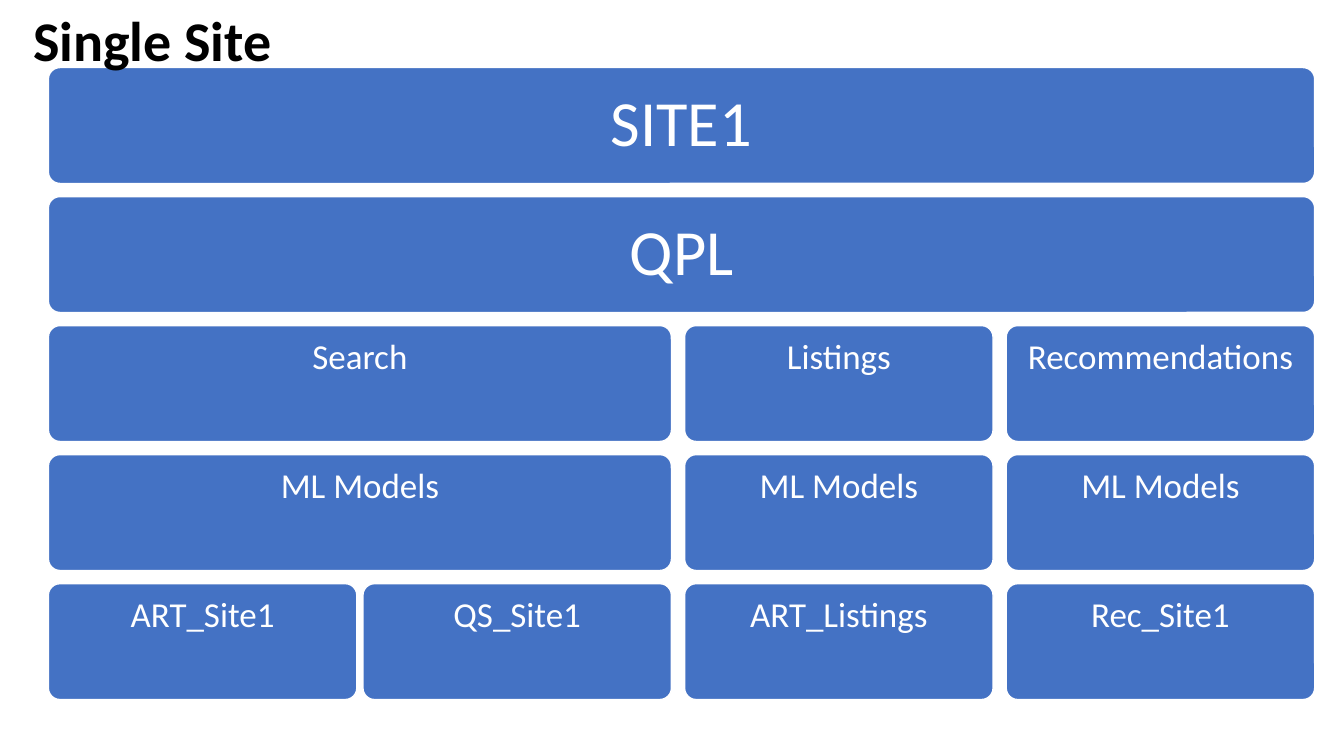
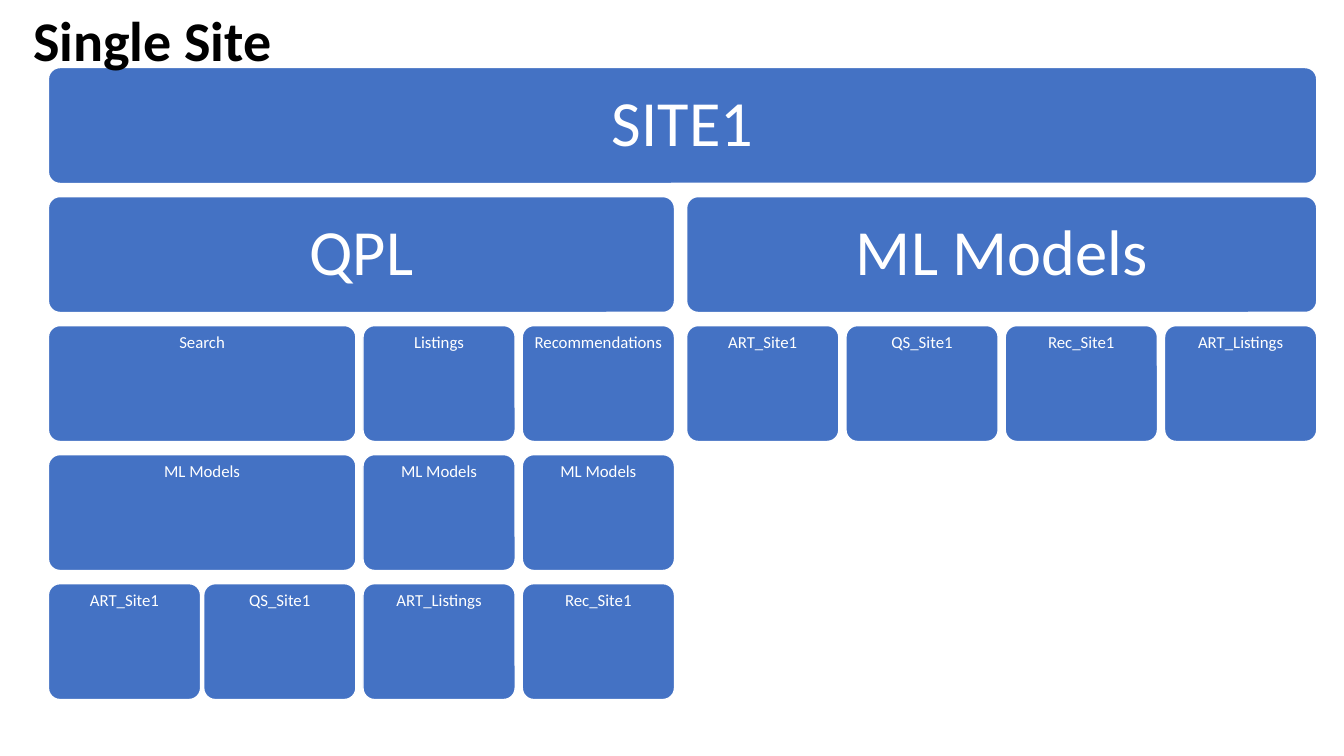
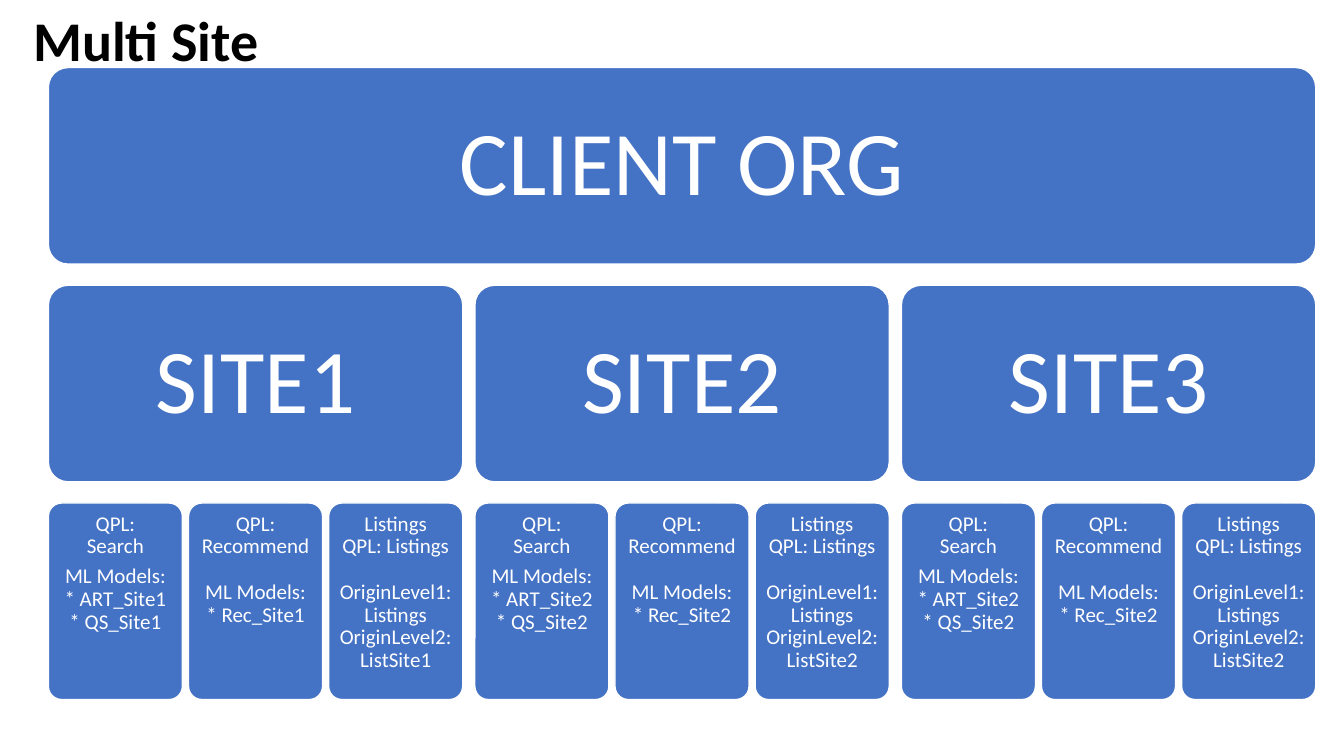
from dataclasses import dataclass

from pptx import Presentation
from pptx.dml.color import RGBColor
from pptx.enum.shapes import MSO_SHAPE
from pptx.enum.text import MSO_ANCHOR, PP_ALIGN
from pptx.util import Inches, Pt

ROUNDED = MSO_SHAPE.ROUNDED_RECTANGLE
TOP, MIDDLE = MSO_ANCHOR.TOP, MSO_ANCHOR.MIDDLE
LEFT, CENTER = PP_ALIGN.LEFT, PP_ALIGN.CENTER

BLUE, WHITE, BLACK = "4472C4", "FFFFFF", "000000"
FONT = "Calibri"
TITLE_ONLY = 5
TREE_LEFT, TREE_TOP = 0.48, 0.67
HEADING_LEVELS = 2


@dataclass
class Node:
    blocks: list
    children: list


@dataclass
class TreeStyle:
    leaf_width: float
    row_height: float
    row_gap: float
    level_gaps: list
    heading_size: int
    heading_inset: float
    detail_size: int
    detail_inset: float
    block_gap: float = 0


def color(value):
    return RGBColor.from_string(value)


def apply(target, values):
    for name, value in values.items():
        setattr(target, name, value)


def node(text, *children):
    return Node([text], list(children))


def format_frame(frame, inset, anchor, wrap=True):
    margins = {f"margin_{side}": Inches(inset) for side in ("left", "right", "top", "bottom")}
    apply(frame, {**margins, "vertical_anchor": anchor, "word_wrap": wrap})


def write_line(paragraph, text, size, font_color, alignment, line_spacing, before=0, bold=False):
    apply(paragraph, {"alignment": alignment, "line_spacing": line_spacing,
                      "space_before": Pt(before), "space_after": Pt(0)})
    run = paragraph.add_run()
    run.text = text
    apply(run.font, {"name": FONT, "size": Pt(size), "bold": bold})
    run.font.color.rgb = color(font_color)


def add_title(slide, text, width):
    title = slide.shapes.title
    apply(title, {"left": Inches(0.23), "top": Inches(0),
                  "width": Inches(width), "height": Inches(0.77)})
    format_frame(title.text_frame, 0.1, TOP, wrap=False)
    apply(title.text_frame, {"margin_top": Inches(0.05), "margin_bottom": Inches(0.05)})
    write_line(title.text_frame.paragraphs[0], text, 40, BLACK, LEFT, 1.0, bold=True)
    title.element.getparent().append(title.element)


def add_box(slide, blocks, left, top, width, level, style):
    box = slide.shapes.add_shape(ROUNDED, Inches(left), Inches(top),
                                 Inches(width), Inches(style.row_height))
    box.adjustments[0] = 0.1
    box.shadow.inherit = False
    box.fill.solid()
    box.fill.fore_color.rgb = color(BLUE)
    box.line.color.rgb = color(WHITE)
    box.line.width = Pt(1)
    if level < HEADING_LEVELS:
        size, inset, anchor = style.heading_size, style.heading_inset, MIDDLE
    else:
        size, inset, anchor = style.detail_size, style.detail_inset, TOP
    frame = box.text_frame
    format_frame(frame, inset, anchor)
    paragraph = frame.paragraphs[0]
    for block_index, block in enumerate(blocks):
        for line_index, line in enumerate(block.split("\n")):
            if block_index or line_index:
                paragraph = frame.add_paragraph()
            before = style.block_gap if block_index and not line_index else 0
            if before and block.startswith("ML") and len(block.split("\n")) == 3:
                before = style.detail_size * 0.35
            write_line(paragraph, line, size, WHITE, CENTER, 0.9, before)


def tree_width(tree, style, level=0):
    if not tree.children:
        return style.leaf_width
    widths = [tree_width(child, style, level + 1) for child in tree.children]
    return sum(widths) + style.level_gaps[level] * (len(widths) - 1)


def add_tree(slide, tree, style, left=TREE_LEFT, level=0):
    top = TREE_TOP + level * (style.row_height + style.row_gap)
    add_box(slide, tree.blocks, left, top, tree_width(tree, style, level), level, style)
    for child in tree.children:
        add_tree(slide, child, style, left, level + 1)
        left += tree_width(child, style, level + 1) + style.level_gaps[level]


def query_pipeline():
    return node(
        "QPL",
        node("Search", node("ML Models", node("ART_Site1"), node("QS_Site1"))),
        node("Listings", node("ML Models", node("ART_Listings"))),
        node("Recommendations", node("ML Models", node("Rec_Site1"))),
    )


def model_list():
    names = ["ART_Site1", "QS_Site1", "Rec_Site1", "ART_Listings"]
    return node("ML Models", *map(node, names))


def client_site(name, number):
    search = ["QPL:\nSearch", f"ML Models:\n* ART_Site{number}\n* QS_Site{number}"]
    recommend = ["QPL:\nRecommend", f"ML Models:\n* Rec_Site{number}"]
    listings = ["Listings\nQPL: Listings",
                f"OriginLevel1: Listings\nOriginLevel2: ListSite{number}"]
    return node(name, *(Node(blocks, []) for blocks in (search, recommend, listings)))


def main():
    presentation = Presentation()
    presentation.slide_width = Inches(13.33)
    presentation.slide_height = Inches(7.5)

    pipeline_style = TreeStyle(3.06, 1.15, 0.13, [0, 0.13, 0, 0.06], 46, 0.19, 25, 0.1)
    models_style = TreeStyle(1.51, 1.15, 0.13, [0.12, 0.07, 0, 0.03], 46, 0.19, 12, 0.05)
    sites_style = TreeStyle(1.33, 1.95, 0.21, [0.12, 0.06], 65, 0.27, 15, 0.06, 16.5)
    sites = [client_site("SITE1", 1), client_site("SITE2", 2), client_site("SITE3", 2)]

    contents = [
        ("Single Site", 2.59, node("SITE1", query_pipeline()), pipeline_style),
        ("Single Site", 2.59, node("SITE1", query_pipeline(), model_list()), models_style),
        ("Multi Site", 2.47, node("CLIENT ORG", *sites), sites_style),
    ]
    for title, title_width, tree, style in contents:
        slide = presentation.slides.add_slide(presentation.slide_layouts[TITLE_ONLY])
        add_tree(slide, tree, style)
        add_title(slide, title, title_width)

    presentation.save("out.pptx")


main()
